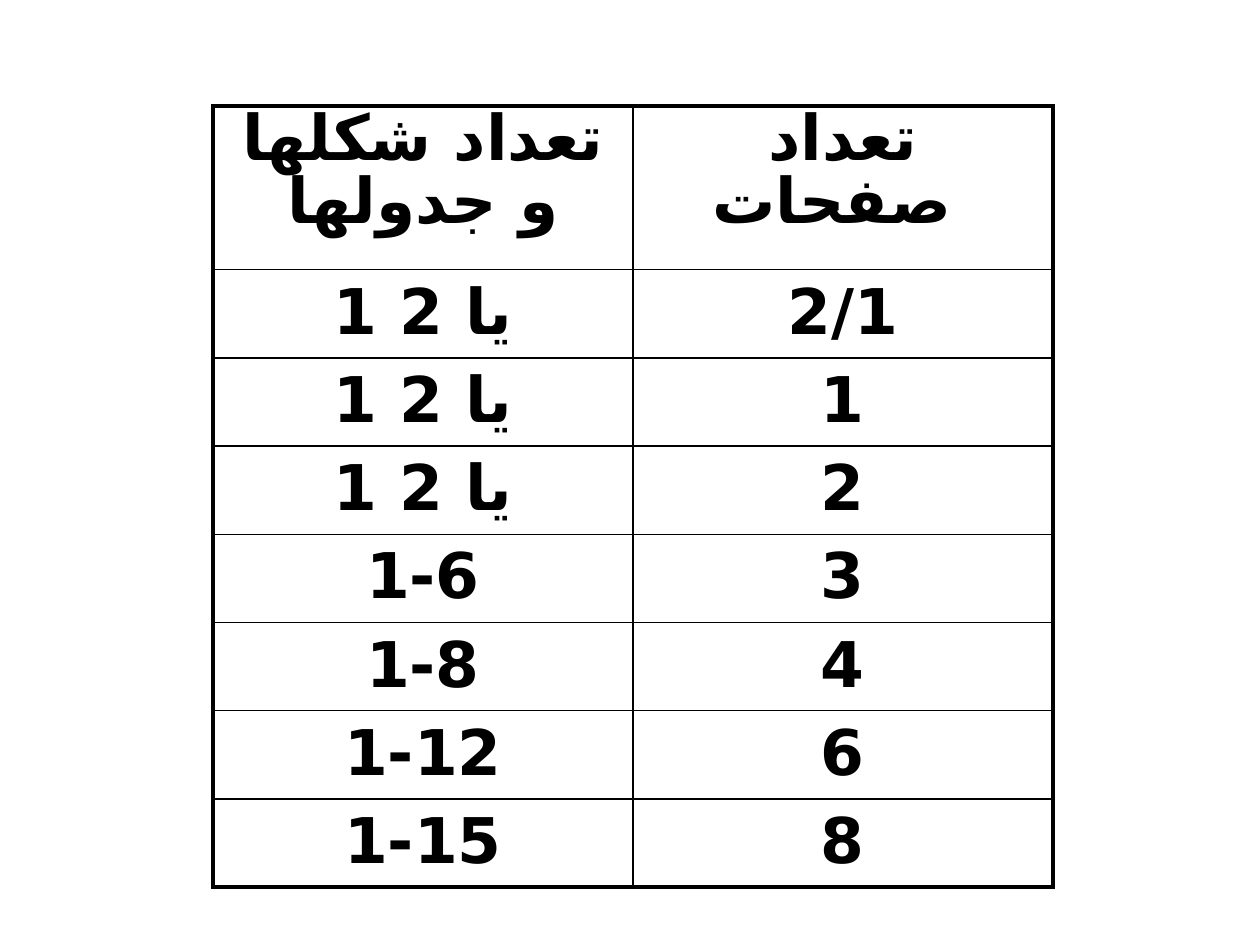
from lxml.etree import SubElement as Sub
from pptx import Presentation
from pptx.dml.color import RGBColor
from pptx.enum.text import PP_ALIGN as Align
from pptx.oxml.ns import qn
from pptx.util import Pt

ROWS = [
    ("تعداد شكلها و جدولها", "تعداد صفحات "),
    ("1 يا 2", "2/1"),
    ("1 يا 2", "1"),
    ("1 يا 2", "2"),
    ("1-6", "3"),
    ("1-8", "4"),
    ("1-12", "6"),
    ("1-15", "8"),
]
FONT, INK = "DejaVu Sans", "000000"
LEFT, TOP, COL = 121.7, 60.5, 240
HEAD, BODY = 93.6, 50.4
THIN, THICK = 1, 2.25


def write(frame, text, size=36, bold=True, color=INK, gap=None):
    para = frame.paragraphs[0]
    para.alignment = Align.CENTER
    if gap:
        para.line_spacing = Pt(gap)
    run = para.add_run()
    run.text = text
    font = run.font
    font.name, font.size, font.bold = FONT, Pt(size), bold
    font.color.rgb = RGBColor.from_string(color)
    # Arabic letters take the complex-script face
    Sub(run._r.get_or_add_rPr(), qn("a:cs"), typeface=FONT)


def border(cell, **widths):
    """Draw solid cell edges; keys are L, R, T, B in that order."""
    props = cell._tc.get_or_add_tcPr()
    for side, width in widths.items():
        line = Sub(props, qn(f"a:ln{side}"), w=str(Pt(width)))
        Sub(Sub(line, qn("a:solidFill")), qn("a:srgbClr"), val=INK)


def edge(outer):
    return THICK if outer else THIN


def main():
    deck = Presentation()
    deck.slide_width, deck.slide_height = Pt(720), Pt(540)
    slide = deck.slides.add_slide(deck.slide_layouts[6])

    high, wide = len(ROWS), len(ROWS[0])
    tall = HEAD + BODY * (high - 1)
    table = slide.shapes.add_table(
        high, wide, Pt(LEFT), Pt(TOP), Pt(COL * wide), Pt(tall)).table
    table.first_row = table.horz_banding = False
    for col in table.columns:
        col.width = Pt(COL)

    for i, row in enumerate(ROWS):
        table.rows[i].height = Pt(BODY if i else HEAD)
        for j, text in enumerate(row):
            cell = table.cell(i, j)
            write(cell.text_frame, text, gap=None if i else 36)
            border(cell, L=edge(j == 0), R=edge(j == wide - 1),
                   T=edge(i == 0), B=edge(i == high - 1))
            cell.fill.background()

    deck.save("out.pptx")


if __name__ == "__main__":
    main()
